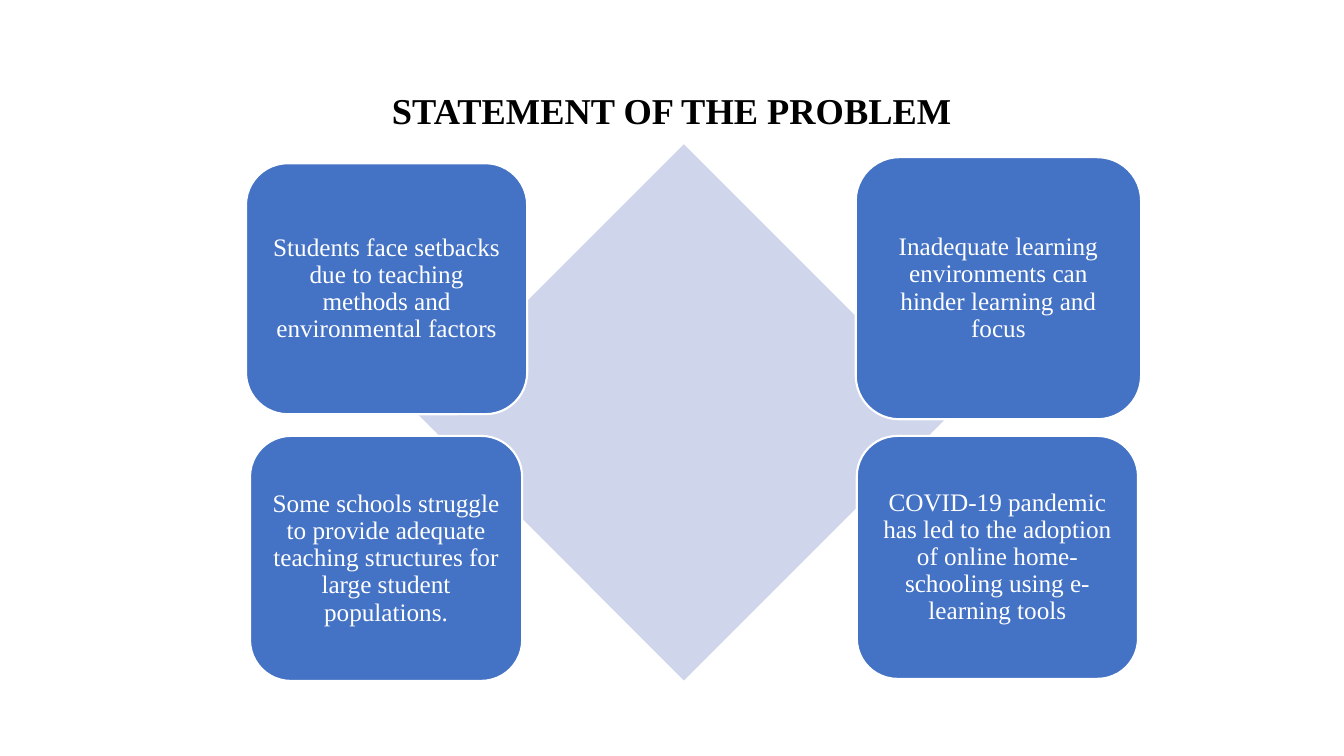
from pptx import Presentation
from pptx.dml.color import RGBColor
from pptx.enum.shapes import MSO_SHAPE
from pptx.enum.text import MSO_ANCHOR, MSO_AUTO_SIZE, PP_ALIGN
from pptx.util import Pt

DIAMOND = MSO_SHAPE.DIAMOND
ROUNDED = MSO_SHAPE.ROUNDED_RECTANGLE
MIDDLE = MSO_ANCHOR.MIDDLE
CENTER = PP_ALIGN.CENTER
NO_AUTOFIT = MSO_AUTO_SIZE.NONE
FONT = "Times New Roman"
TITLE_ONLY = 5


def color(hex_string):
    return RGBColor.from_string(hex_string)


def write(shape, text, size, font_color, bold=False, inset=None):
    frame = shape.text_frame
    frame.word_wrap = True
    frame.auto_size = NO_AUTOFIT
    frame.vertical_anchor = MIDDLE
    if inset is not None:
        frame.margin_left = frame.margin_right = Pt(inset)
        frame.margin_top = frame.margin_bottom = Pt(inset)
    paragraph = frame.paragraphs[0]
    paragraph.alignment = CENTER
    paragraph.line_spacing = 0.9
    run = paragraph.add_run()
    run.text = text
    run.font.name = FONT
    run.font.size = Pt(size)
    run.font.bold = bold
    run.font.color.rgb = color(font_color)


presentation = Presentation()
presentation.slide_width, presentation.slide_height = Pt(960), Pt(540)
slide = presentation.slides.add_slide(presentation.slide_layouts[TITLE_ONLY])

# Title
title = slide.shapes.title
title.left, title.top, title.width, title.height = Pt(66), Pt(28), Pt(828), Pt(104.4)
write(title, "STATEMENT OF THE PROBLEM", size=26, font_color="000000", bold=True)

# Diamond behind the four problems
diamond = slide.shapes.add_shape(DIAMOND, Pt(297), Pt(103), Pt(383), Pt(383))
diamond.shadow.inherit = False
diamond.fill.solid()
diamond.fill.fore_color.rgb = color("CFD5EA")
diamond.line.fill.background()

# Problems: left, top, width, height, text
problems = [
    (175.7, 116.6, 200.9, 179.3,
     "Students face setbacks due to teaching methods and environmental factors"),
    (611.3, 112.3, 203.8, 187.2,
     "Inadequate learning environments can hinder learning and focus"),
    (178.6, 311.4, 194.4, 175,
     "Some schools struggle to provide adequate teaching structures for "
     "large student populations."),
    (612, 311.4, 200.9, 173.5,
     "COVID-19 pandemic has led to the adoption of online home-schooling "
     "using e-learning tools"),
]
for left, top, width, height, text in problems:
    box = slide.shapes.add_shape(ROUNDED, Pt(left), Pt(top), Pt(width), Pt(height))
    box.shadow.inherit = False
    box.fill.solid()
    box.fill.fore_color.rgb = color("4472C4")
    box.line.color.rgb = color("FFFFFF")
    box.line.width = Pt(1.5)
    write(box, text, size=18, font_color="FFFFFF", inset=5)

presentation.save("out.pptx")
